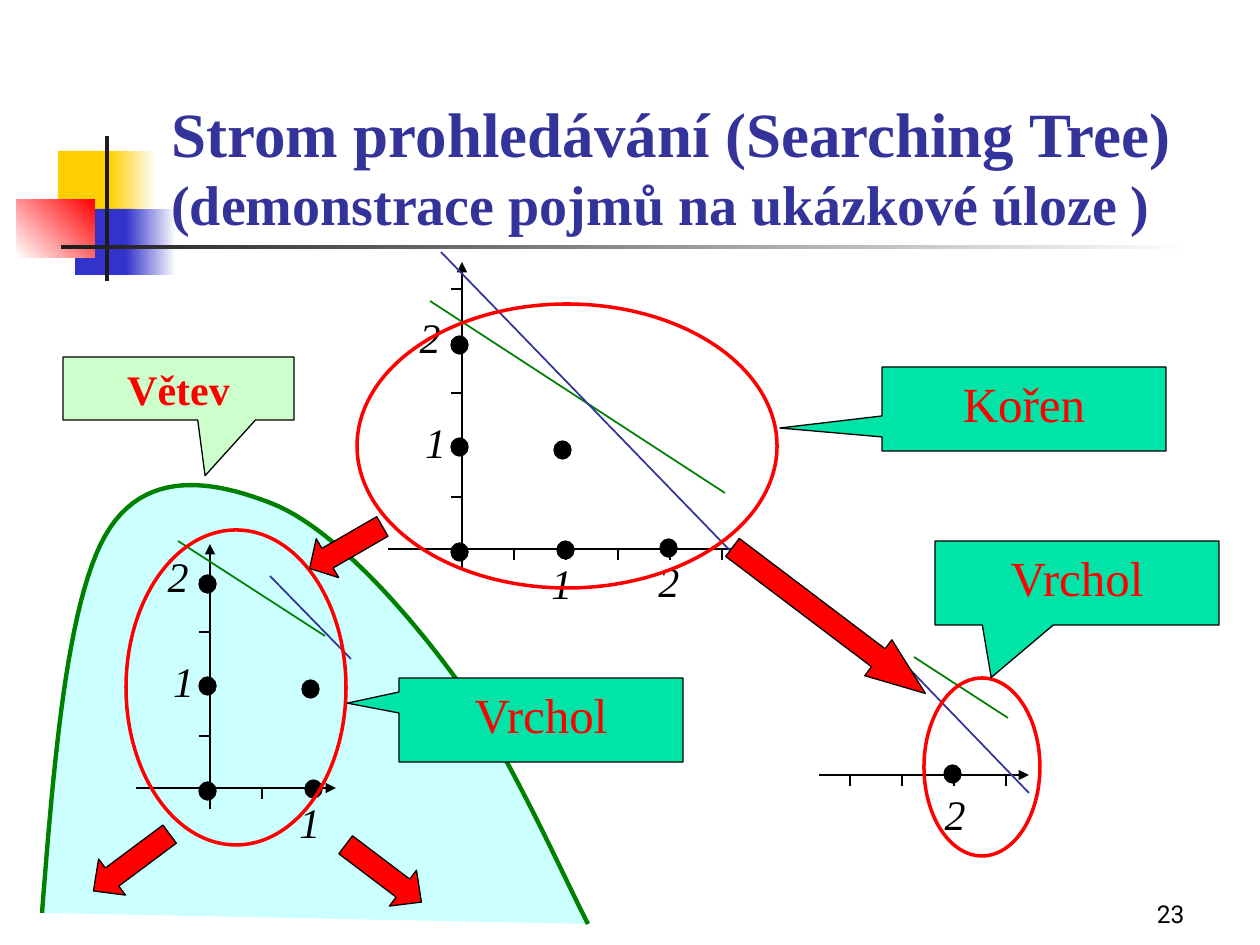
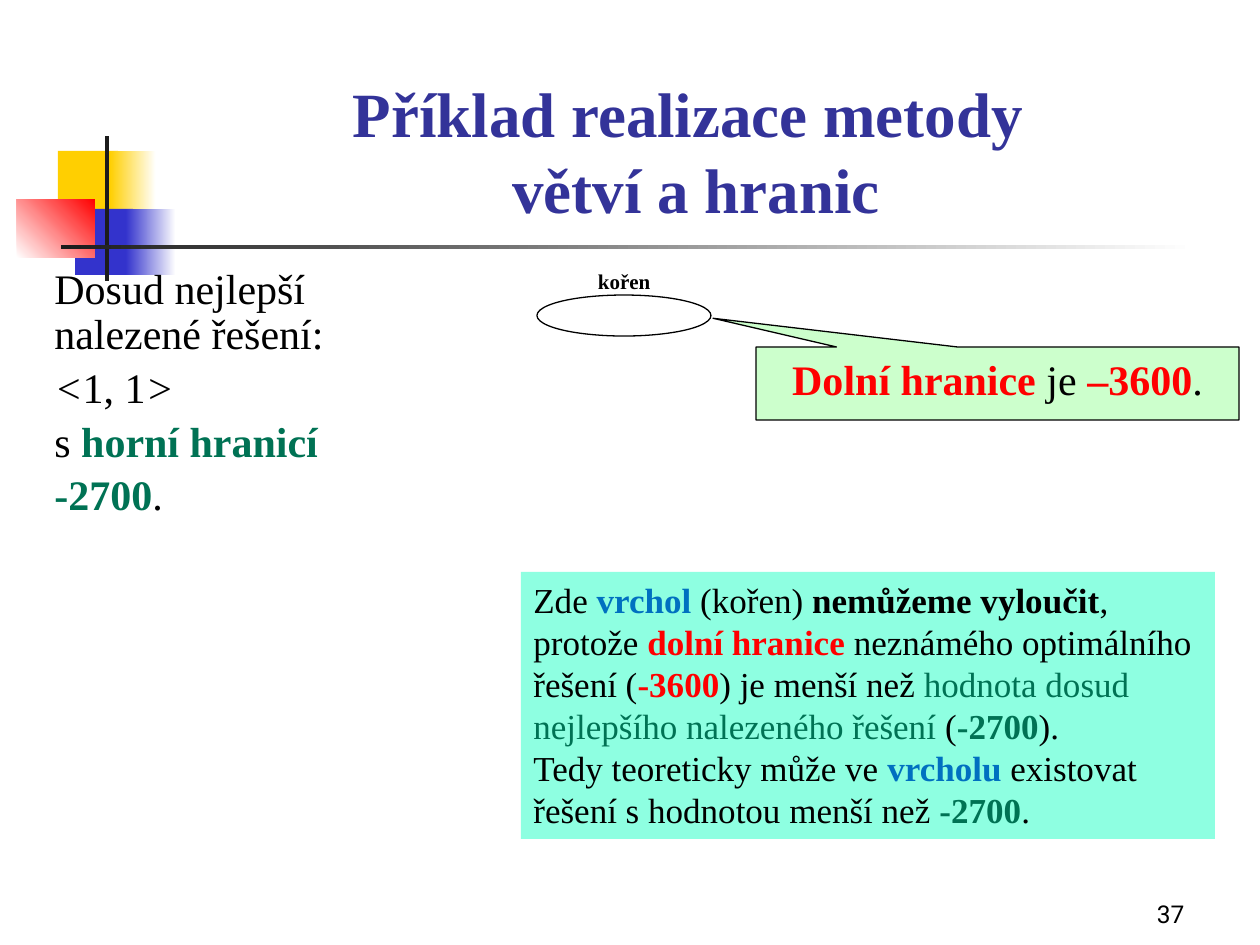
from lxml.etree import SubElement
from pptx import Presentation
from pptx.dml.color import RGBColor
from pptx.enum.shapes import MSO_CONNECTOR as CONN, MSO_SHAPE as SHAPE
from pptx.enum.text import MSO_ANCHOR as ANCHOR, PP_ALIGN as ALIGN
from pptx.oxml.ns import qn
from pptx.util import Emu, Pt

PX = 914400 / 126
SERIF = "Times New Roman"
BLACK, WHITE, DARK = "000000", "FFFFFF", "1C1C1C"
NAVY, GREEN, RED, BLUE = "333399", "008000", "FF0000", "0070C0"
YELLOW, INDIGO, TEAL = "FFCF01", "3333CC", "007254"
MINT, AQUA, LIME, SKY = "00E4A8", "8EFFE1", "CCFFCC", "CCFFFF"

RED_BOLD = {"color": RED, "bold": True}
TEAL_BOLD = {"color": TEAL, "bold": True}
BLUE_BOLD = {"color": BLUE, "bold": True}

# Root plot; the other plots reuse parts of it, shifted
UNIT_LABELS = {"x1": (499, 551, 126), "x2": (606, 549, 126),
               "y1": (388, 410, 95), "y2": (388, 305, 84)}
DOTS = {(0, 0): (451, 543), (1, 1): (554, 441), (0, 1): (451, 438),
        (2, 0): (660, 539), (1, 0): (557, 541), (0, 2): (451, 336)}
AXIS_X, AXIS_Y, TICK_STEP, TICK = 462, 549, 52, 11


def px(n):
    return Emu(round(n * PX))


def rgb(code):
    return RGBColor.from_string(code)


# Text
def write(s, paras, size, color=BLACK, font=SERIF, bold=False, italic=False,
          align=ALIGN.LEFT, anchor=ANCHOR.TOP, leading=None, before=None):
    """Each paragraph is a list of runs: (text, overrides); "\n" breaks a line."""
    tf = s.text_frame
    tf.word_wrap = True
    tf.vertical_anchor = anchor
    for i, runs in enumerate(paras):
        p = tf.add_paragraph() if i else tf.paragraphs[0]
        p.alignment = align
        if leading:
            p.line_spacing = leading
        if before:
            p.space_before = Pt(before)
        for text, style in runs:
            if text == "\n":
                p.add_line_break()
                continue
            r = p.add_run()
            r.text = text
            r.font.name = font
            r.font.size = Pt(style.get("size", size))
            r.font.bold = style.get("bold", bold)
            r.font.italic = style.get("italic", italic)
            r.font.color.rgb = rgb(style.get("color", color))
    return tf


def text_box(slide, box, paras, size, **style):
    s = slide.shapes.add_textbox(*map(px, box))
    return write(s, paras, size, **style)


# Shapes
def paint(s, fill=None, line=None, width=0.75):
    s.shadow.inherit = False
    if fill:
        s.fill.solid()
        s.fill.fore_color.rgb = rgb(fill)
    else:
        s.fill.background()
    if line:
        s.line.color.rgb = rgb(line)
        s.line.width = Pt(width)
    else:
        s.line.fill.background()


def shape(slide, kind, box, fill=None, line=None, width=0.75, adj=(), turn=0):
    s = slide.shapes.add_shape(kind, *map(px, box))
    paint(s, fill, line, width)
    for i, value in enumerate(adj):
        s.adjustments[i] = value
    s.rotation = turn
    return s


def gradient(slide, box, start, end, angle=0):
    s = shape(slide, SHAPE.RECTANGLE, box)
    s.fill.gradient()
    s.fill.gradient_angle = angle
    for stop, color in zip(s.fill.gradient_stops, (start, end)):
        stop.color.rgb = rgb(color)


def line(slide, x1, y1, x2, y2, color=BLACK, width=0.75, arrow=False):
    s = slide.shapes.add_connector(CONN.STRAIGHT, *map(px, (x1, y1, x2, y2)))
    s.line.color.rgb = rgb(color)
    s.line.width = Pt(width)
    if arrow:
        SubElement(s.line._get_or_add_ln(), qn("a:tailEnd"), type="triangle")
    SubElement(s._element.spPr, qn("a:effectLst"))


def callout(slide, box, adj, fill, runs, size):
    s = shape(slide, SHAPE.RECTANGULAR_CALLOUT, box, fill, BLACK, adj=adj)
    write(s, [runs], size, color=RED, align=ALIGN.CENTER)


def block_arrow(slide, box, turn, head):
    shape(slide, SHAPE.RIGHT_ARROW, box, RED, BLACK, adj=(0.5, head), turn=turn)


def ring(slide, *box):
    shape(slide, SHAPE.OVAL, box, line=RED, width=2)


def curve(slide, start, segments, fill, color, width, steps=24):
    """Open outline through cubic Bézier segments."""
    points, a = [], start
    for b, c, d in segments:
        for k in range(1, steps + 1):
            t = k / steps
            u = 1 - t
            points.append(tuple(
                px(u**3 * a[i] + 3 * u * u * t * b[i] + 3 * u * t * t * c[i] + t**3 * d[i])
                for i in (0, 1)))
        a = d
    builder = slide.shapes.build_freeform(*map(px, start))
    builder.add_line_segments(points, close=False)
    paint(builder.convert_to_shape(), fill, color, width)


# Coordinate plot
def label(slide, name, x, y, width):
    text_box(slide, (x, y, width, 63), [[(name[1], {})]], 24, italic=True,
             align=ALIGN.CENTER)


def plot(slide, dx, dy, x_span, y_span, x_ticks, y_ticks, labels, dots,
         green, navy):
    ax, ay = AXIS_X + dx, AXIS_Y + dy
    if y_span:
        line(slide, ax, y_span[1], ax, y_span[0], arrow=True)
    line(slide, x_span[0], ay, x_span[1], ay, arrow=True)
    for i in x_ticks:
        x = ax + TICK_STEP * (i + 1)
        line(slide, x, ay, x, ay + TICK)
    for i in y_ticks:
        y = ay - TICK_STEP * (i + 1)
        line(slide, ax - TICK, y, ax, y)
    for name in labels:
        x, y, w = UNIT_LABELS[name]
        label(slide, name, x + dx, y + dy, w)
    for key in dots:
        x, y = DOTS[key]
        shape(slide, SHAPE.OVAL, (x + dx, y + dy, 17, 18), BLACK, BLACK)
    line(slide, *green, color=GREEN, width=1)
    line(slide, *navy, color=NAVY, width=1)


# Shared slide frame
def frame(prs, number):
    slide = prs.slides.add_slide(prs.slide_layouts[6])
    shape(slide, SHAPE.RECTANGLE, (58, 151, 60, 66), YELLOW)
    gradient(slide, (110, 151, 46, 66), YELLOW, WHITE)
    shape(slide, SHAPE.RECTANGLE, (75, 209, 58, 66), INDIGO)
    gradient(slide, (126, 209, 50, 66), INDIGO, WHITE)
    gradient(slide, (17, 199, 78, 59), WHITE, RED, angle=45)
    shape(slide, SHAPE.RECTANGLE, (105, 136, 4, 145), DARK)
    gradient(slide, (61, 245, 1134, 4), DARK, WHITE)
    text_box(slide, (935, 872, 262, 63), [[(str(number), {})]], 14,
             font="Roboto", align=ALIGN.RIGHT, anchor=ANCHOR.BOTTOM)
    return slide


def title(slide, top, height, runs, align=ALIGN.LEFT):
    text_box(slide, (159, top, 1074, height), [runs], 36, color=NAVY, bold=True,
             align=align, anchor=ANCHOR.BOTTOM)


def tree_slide(prs):
    slide = frame(prs, 23)

    # Branch
    curve(slide, (42, 913),
          [((54, 759), (67, 604), (105, 536)),
           ((144, 467), (215, 481), (273, 504)),
           ((330, 527), (399, 602), (451, 672)),
           ((504, 742), (566, 882), (588, 924))], SKY, GREEN, 2.5)
    callout(slide, (63, 357, 231, 63), (0.115, 1.385), LIME,
            [("Větev", RED_BOLD)], 24)
    block_arrow(slide, (84, 840, 95, 45), 143.3, 0.514)
    block_arrow(slide, (336, 851, 95, 45), 37.1, 0.514)

    title(slide, 86, 157, [
        ("Strom prohledávání (Searching Tree)", {}), ("\n", {}),
        ("(demonstrace pojmů na ukázkové úloze )", {"size": 32})])

    # Root
    plot(slide, 0, 0, (388, 746), (262, 570), range(5), range(5),
         UNIT_LABELS, DOTS, (430, 301, 725, 493), (441, 252, 746, 567))
    ring(slide, 357, 304, 420, 284)
    callout(slide, (882, 367, 284, 84), (-0.86, 0.227), MINT, [("Kořen", {})], 28)

    # Left and right nodes
    plot(slide, -252, 239, (136, 336), (544, 809), range(2), range(4),
         ("x1", "y1", "y2"), [(0, 0), (1, 1), (0, 1), (1, 0), (0, 2)],
         (178, 541, 325, 636), (270, 576, 351, 659))
    plot(slide, 284, 226, (819, 1029), None, range(1, 5), (),
         (), [(2, 0)], (914, 657, 1008, 718), (897, 656, 1029, 793))
    label(slide, "x2", 892, 782, 126)
    ring(slide, 126, 530, 220, 315)
    ring(slide, 924, 678, 116, 178)
    for x, y, adj in ((399, 678, (-0.682, -0.201)), (935, 541, (-0.302, 1.125))):
        callout(slide, (x, y, 284, 84), adj, MINT, [("Vrchol", {})], 28)
    block_arrow(slide, (304, 525, 84, 45), 150, 0.457)
    block_arrow(slide, (708, 598, 242, 45), 37.1, 1.314)


def bounds_slide(prs):
    slide = frame(prs, 37)
    title(slide, 53, 179, [("Příklad realizace metody ", {}), ("\n", {}),
                           ("větví a hranic", {})], ALIGN.CENTER)

    # Root node
    tf = text_box(slide, (597, 268, 60, 29), [[("kořen", {})]], 12, bold=True)
    tf.margin_left = tf.margin_right = tf.margin_top = tf.margin_bottom = px(1)
    shape(slide, SHAPE.OVAL, (537, 295, 174, 41), line=BLACK)

    # Best solution so far
    text_box(slide, (42, 262, 363, 305), [
        [("Dosud nejlepší nalezené řešení:", {})],
        [("<", {"italic": True}), ("1, 1", {}), (">", {"italic": True})],
        [("s ", {}), ("horní hranicí", TEAL_BOLD)],
        [("-2700", TEAL_BOLD), (".", {})],
    ], 24, leading=0.9, before=4.8)

    callout(slide, (756, 347, 483, 73), (-0.589, -0.893), LIME, [
        ("Dolní hranice ", RED_BOLD), ("je ", {"color": BLACK}),
        ("–3600", RED_BOLD), (".", {"color": BLACK})], 24)

    # Conclusion
    s = shape(slide, SHAPE.RECTANGLE, (521, 572, 694, 267), AQUA)
    write(s, [
        [("Zde ", {}), ("vrchol ", BLUE_BOLD), ("(kořen) ", {}),
         ("nemůžeme vyloučit", {"bold": True}), (", protože ", {}),
         ("dolní hranice ", RED_BOLD), ("neznámého optimálního řešení (", {}),
         ("-3600", RED_BOLD), (") je menší než ", {}),
         ("hodnota dosud nejlepšího nalezeného řešení ", {"color": TEAL}),
         ("(", {}), ("-2700", TEAL_BOLD), (").", {})],
        [("Tedy teoreticky může ve ", {}), ("vrcholu", BLUE_BOLD),
         (" existovat řešení s hodnotou menší než ", {}),
         ("-2700", TEAL_BOLD), (".", {})],
    ], 20)


def main():
    prs = Presentation()
    prs.slide_width, prs.slide_height = px(1260), px(945)
    tree_slide(prs)
    bounds_slide(prs)
    prs.save("out.pptx")


if __name__ == "__main__":
    main()
